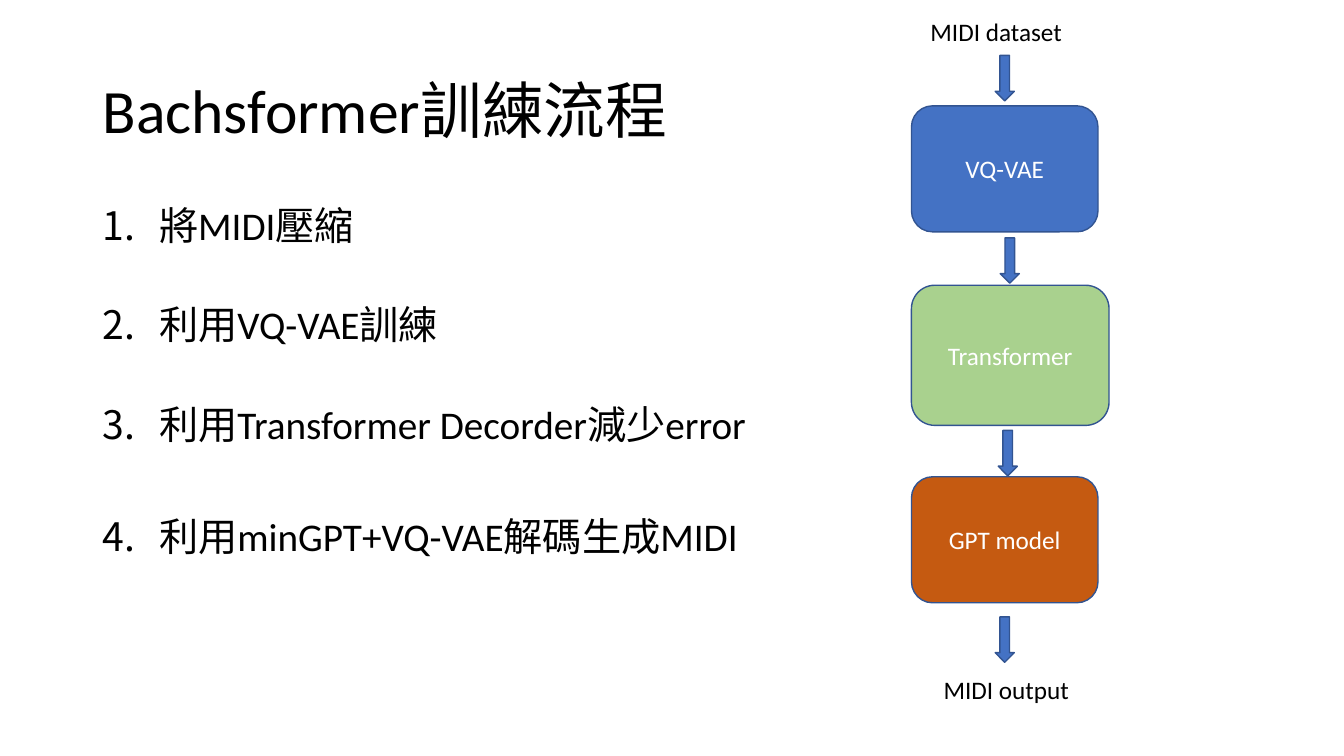
from lxml import etree
from pptx import Presentation
from pptx.dml.color import RGBColor
from pptx.enum import shapes, text
from pptx.oxml.ns import qn
from pptx.util import Inches, Pt

COLORS = {
    "black": "000000",
    "white": "FFFFFF",
    "blue": "4472C4",
    "green": "A9D18E",
    "orange": "C55A11",
    "outline": "325491",
}

deck = Presentation()
deck.slide_width = Inches(13.33)
deck.slide_height = Inches(7.5)
slide = deck.slides.add_slide(deck.slide_layouts[6])


def write(paragraph, words, size, color):
    run = paragraph.add_run()
    run.text = words
    run.font.name = "Calibri"
    run.font.size = Pt(size)
    run.font.color.rgb = RGBColor.from_string(COLORS[color])


def draw(kind, left, top, width, height, fill):
    shape = slide.shapes.add_shape(
        kind, Inches(left), Inches(top), Inches(width), Inches(height))
    shape.shadow.inherit = False
    shape.fill.solid()
    shape.fill.fore_color.rgb = RGBColor.from_string(COLORS[fill])
    shape.line.color.rgb = RGBColor.from_string(COLORS["outline"])
    shape.line.width = Pt(1)
    return shape


title = slide.shapes.add_textbox(
    Inches(0.92), Inches(0.4), Inches(11.5), Inches(1.45)).text_frame
title.word_wrap = True
title.vertical_anchor = text.MSO_ANCHOR.MIDDLE
title.paragraphs[0].line_spacing = 0.9
write(title.paragraphs[0], "Bachsformer訓練流程", 44, "black")

steps = slide.shapes.add_textbox(
    Inches(0.92), Inches(2), Inches(11.5), Inches(4.76)).text_frame
steps.word_wrap = True
for number, (words, gap) in enumerate([
    ("將MIDI壓縮", 0),
    ("利用VQ-VAE訓練", 40.7),
    ("利用Transformer Decorder減少error", 40.7),
    ("利用minGPT+VQ-VAE解碼生成MIDI", 50.4),
]):
    step = steps.add_paragraph() if number else steps.paragraphs[0]
    step.line_spacing = 0.9
    step.space_before = Pt(gap)
    layout = step._p.get_or_add_pPr()
    layout.set("marL", str(Inches(0.56)))
    layout.set("indent", str(-Inches(0.56)))
    etree.SubElement(layout, qn("a:buFont"), typeface="+mj-lt")
    etree.SubElement(layout, qn("a:buAutoNum"), type="arabicPeriod")
    write(step, words, 28, "black")

for name, top, width, height, fill in [
    ("VQ-VAE", 1.05, 1.85, 1.25, "blue"),
    ("Transformer", 2.83, 1.96, 1.39, "green"),
    ("GPT model", 4.73, 1.85, 1.25, "orange"),
]:
    stage = draw(shapes.MSO_SHAPE.ROUNDED_RECTANGLE, 9.04, top, width, height, fill)
    stage.text_frame.vertical_anchor = text.MSO_ANCHOR.MIDDLE
    caption = stage.text_frame.paragraphs[0]
    caption.alignment = text.PP_ALIGN.CENTER
    write(caption, name, 18, "white")

for left, top in [(9.87, 0.55), (9.92, 2.36), (9.9, 4.27), (9.87, 6.12)]:
    draw(shapes.MSO_SHAPE.DOWN_ARROW, left, top, 0.19, 0.45, "blue")

for words, left, top in [("MIDI dataset", 9.13, 0.11), ("MIDI output", 9.26, 6.64)]:
    endpoint = slide.shapes.add_textbox(
        Inches(left), Inches(top), Inches(1.85), Inches(0.4)).text_frame
    endpoint.word_wrap = True
    endpoint.auto_size = text.MSO_AUTO_SIZE.SHAPE_TO_FIT_TEXT
    write(endpoint.paragraphs[0], words, 18, "black")

deck.save("out.pptx")
